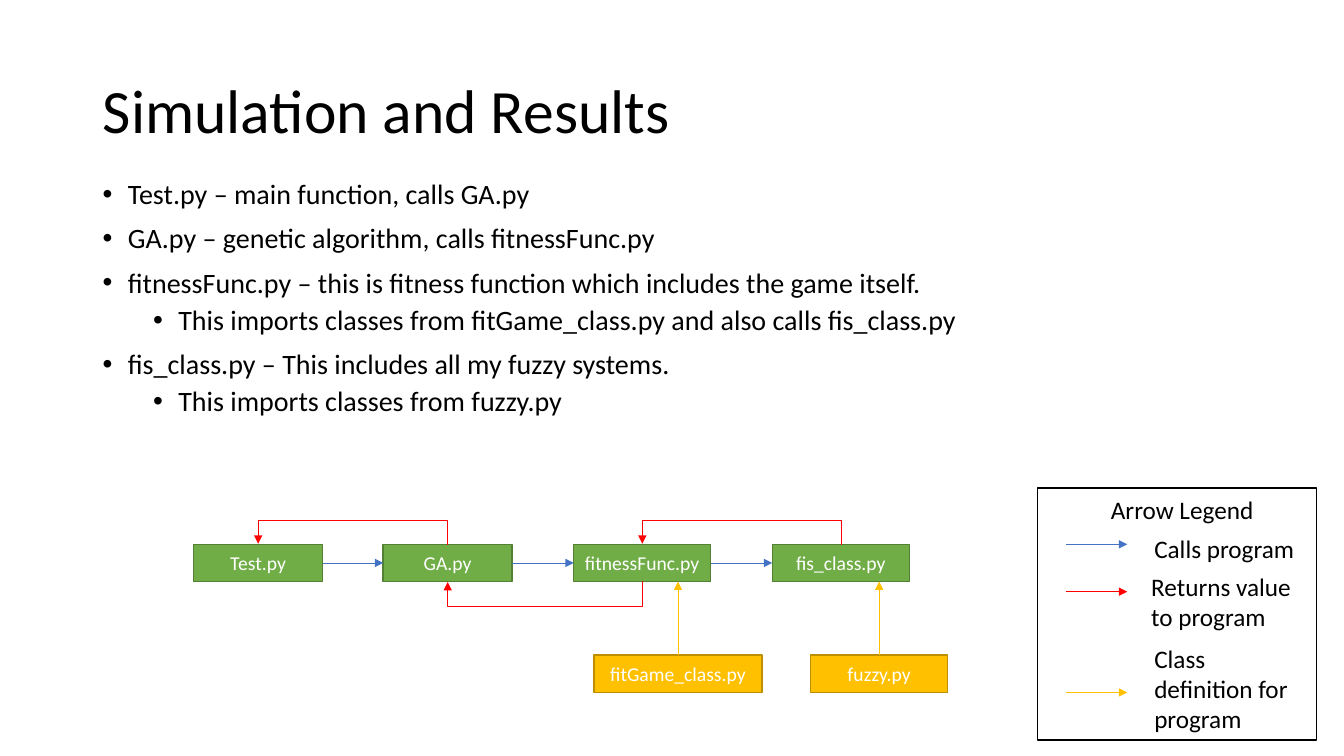
from lxml.etree import SubElement
from pptx import Presentation
from pptx.dml.color import RGBColor
from pptx.enum.shapes import MSO_CONNECTOR as LINK, MSO_SHAPE
from pptx.enum.text import MSO_ANCHOR as ANCHOR, MSO_AUTO_SIZE as FIT, PP_ALIGN as ALIGN
from pptx.oxml.ns import qn
from pptx.util import Inches, Pt

COLORS = {
    "text": "000000", "label": "FFFFFF",
    "program": "70AD47", "program_edge": "538035",
    "class": "FFC000", "class_edge": "BD8E00",
    "calls": "4472C4", "returns": "FF0000", "defines": "FFC000",
}
CELL = 0.1  # inches per grid column and row


def grid(*cells):
    return [Inches(cell * CELL) for cell in cells]


def assign(target, values):
    for name, value in values.items():
        setattr(target, name, value)


def rgb(name):
    return RGBColor.from_string(COLORS[name])


class Board:
    FONT = "Calibri"
    THIN, EDGE = Pt(0.5), Pt(1)

    def __init__(self, slide):
        self.shapes = slide.shapes

    def fill_text(self, frame, lines, size, color="text", frame_format=None, **paragraph_format):
        assign(frame, {"word_wrap": True, **(frame_format or {})})
        for index, line in enumerate(lines):
            paragraph = frame.add_paragraph() if index else frame.paragraphs[0]
            assign(paragraph, paragraph_format)
            run = paragraph.add_run()
            run.text = line
            assign(run.font, {"name": self.FONT, "size": Pt(size)})
            run.font.color.rgb = rgb(color)

    def title(self, text, *cells):
        holder = self.shapes.title
        assign(holder, dict(zip(("left", "top", "width", "height"), grid(*cells))))
        self.fill_text(holder.text_frame, [text], 44, alignment=ALIGN.LEFT, line_spacing=0.9,
                       frame_format={"vertical_anchor": ANCHOR.MIDDLE, "auto_size": FIT.NONE})

    def text(self, text, *cells):
        frame = self.shapes.add_textbox(*grid(*cells)).text_frame
        self.fill_text(frame, [text], 18, frame_format={"auto_size": FIT.SHAPE_TO_FIT_TEXT})

    def bullets(self, items, *cells):
        frame = self.shapes.add_textbox(*grid(*cells)).text_frame
        self.fill_text(frame, [text for _, text in items], 20, line_spacing=0.9)
        for paragraph, (level, _) in zip(frame.paragraphs, items):
            assign(paragraph, {"level": level, "space_before": Pt(5 if level else 10)})
            properties = paragraph._p.get_or_add_pPr()
            properties.set("marL", str(Inches(0.25 + 0.5 * level)))
            properties.set("indent", str(Inches(-0.25)))
            SubElement(properties, qn("a:buFont"), typeface="Arial")
            SubElement(properties, qn("a:buChar"), char="•")

    def box(self, cells, edge, fill=None, label=None):
        box = self.shapes.add_shape(MSO_SHAPE.RECTANGLE, *grid(*cells))
        box.shadow.inherit = False
        box.line.color.rgb, box.line.width = rgb(edge), self.EDGE
        if fill:
            box.fill.solid()
            box.fill.fore_color.rgb = rgb(fill)
        else:
            box.fill.background()
        if label:
            self.fill_text(box.text_frame, [label], 14, "label", alignment=ALIGN.CENTER,
                           frame_format={"vertical_anchor": ANCHOR.MIDDLE})

    def arrow(self, meaning, *cells, kind=LINK.STRAIGHT):
        arrow = self.shapes.add_connector(kind, *grid(*cells))
        arrow.line.color.rgb, arrow.line.width = rgb(meaning), self.THIN
        properties = arrow._element.spPr
        SubElement(properties.find(qn("a:ln")), qn("a:tailEnd"), type="triangle")
        SubElement(properties, qn("a:effectLst"))
        return arrow

    def loop(self, start, end, row, upward, reach=2.5, depth=0.1):
        """Elbow arrow running left, above or below a row of boxes."""
        middle, half = (start + end) / 2, (start - end) / 2
        lean = half if upward else -half
        arrow = self.arrow("returns", middle - depth / 2, row + lean,
                           middle + depth / 2, row - lean, kind=LINK.ELBOW)
        properties = arrow._element.spPr
        properties.find(qn("a:xfrm")).set("rot", str((270 if upward else 90) * 60000))
        guides = properties.find(qn("a:prstGeom")).find(qn("a:avLst"))
        SubElement(guides, qn("a:gd"), name="adj1",
                   fmla=f"val {round(reach / depth * 100000)}")


deck = Presentation()
deck.slide_width, deck.slide_height = Inches(13.33), Inches(7.5)
board = Board(deck.slides.add_slide(deck.slide_layouts[5]))

# Title and file descriptions
board.title("Simulation and Results", 9.2, 4, 115, 14.5)
board.bullets([
    (0, "Test.py – main function, calls GA.py"),
    (0, "GA.py – genetic algorithm, calls fitnessFunc.py"),
    (0, "fitnessFunc.py – this is fitness function which includes the game itself."),
    (1, "This imports classes from fitGame_class.py and also calls fis_class.py"),
    (0, "fis_class.py – This includes all my fuzzy systems."),
    (1, "This imports classes from fuzzy.py"),
], 9.2, 17.4, 115, 47.6)

# Programs and the calls between neighbours
program_row, class_row, box_height = 54, 65, 3.7
programs = [("Test.py", 19.2, 12.8), ("GA.py", 38, 12.8),
            ("fitnessFunc.py", 56.9, 13.6), ("fis_class.py", 76.6, 13.6)]
for name, left, width in programs:
    board.box((left, program_row, width, box_height), "program_edge", "program", name)
call_row = program_row + box_height / 2
for (_, left, width), (_, next_left, _) in zip(programs, programs[1:]):
    board.arrow("calls", left + width, call_row, next_left, call_row)

# Values returned
test, ga, fitness, fis = (left + width / 2 for _, left, width in programs)
program_bottom = program_row + box_height
board.loop(fis, fitness, program_row, upward=True)
board.loop(fitness, ga, program_bottom, upward=False)
board.loop(ga, test, program_row, upward=True)

# Class files
for name, left, width in [("fitGame_class.py", 58.9, 16.7), ("fuzzy.py", 80.4, 13.6)]:
    board.box((left, class_row, width, box_height), "class_edge", "class", name)
    middle = left + width / 2
    board.arrow("defines", middle, class_row, middle, program_bottom)

# Legend
board.box((102.9, 48.4, 27.7, 25), "text")
board.text("Arrow Legend", 109.2, 48.5, 16.7, 4)
for meaning, arrow_row, text, left, top, height in [
    ("calls", 54, "Calls program", 113.5, 52.4, 4),
    ("returns", 58.7, "Returns value to program", 113.2, 56.2, 7.1),
    ("defines", 68.7, "Class definition for program", 113.5, 63.3, 10.1),
]:
    board.arrow(meaning, 105.7, arrow_row, 111.8, arrow_row)
    board.text(text, left, top, 16.7, height)

deck.save("out.pptx")
